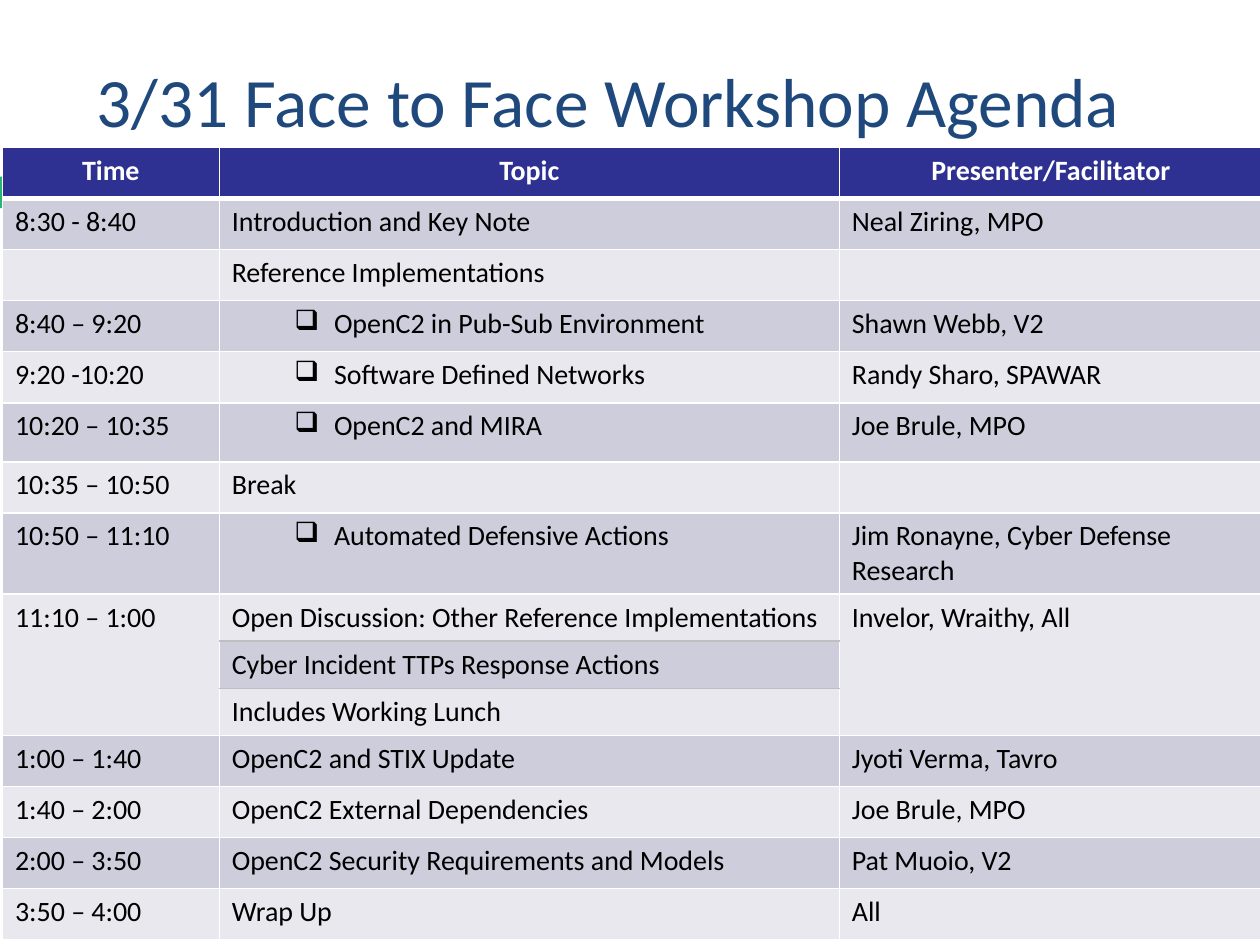
"""Build the workshop agenda slide."""
from lxml import etree
from pptx import Presentation
from pptx.dml.color import RGBColor
from pptx.enum.shapes import MSO_SHAPE
from pptx.enum.text import MSO_ANCHOR, PP_ALIGN
from pptx.oxml.ns import qn
from pptx.util import Cm, Pt

RECTANGLE = MSO_SHAPE.RECTANGLE
MIDDLE = MSO_ANCHOR.MIDDLE
LEFT, CENTER = PP_ALIGN.LEFT, PP_ALIGN.CENTER
TITLE_ONLY = 5

FONT = "Calibri"
WHITE, BLACK, NAVY, GREEN, TITLE_BLUE = "FFFFFF", "000000", "2E3092", "2AB573", "1F497D"
BANDS = ("E8E8EE", "CDCDDC")
INNER_RULE = "BFBFBF"
BULLET = "❑"

TITLE = "3/31 Face to Face Workshop Agenda"
HEADINGS = ("Time", "Topic", "Presenter/Facilitator")
AGENDA = [
    ("8:30 - 8:40", "Introduction and Key Note", "Neal Ziring, MPO"),
    ("", "Reference Implementations", ""),
    ("8:40 – 9:20", "❑OpenC2 in Pub-Sub Environment", "Shawn Webb, V2"),
    ("9:20 -10:20", "❑Software Defined Networks", "Randy Sharo, SPAWAR"),
    ("10:20 – 10:35", "❑OpenC2 and MIRA", "Joe Brule, MPO"),
    ("10:35 – 10:50", "Break", ""),
    ("10:50 – 11:10", "❑Automated Defensive Actions", "Jim Ronayne, Cyber Defense Research"),
    ("11:10 – 1:00", "Open Discussion: Other Reference Implementations", "Invelor, Wraithy, All"),
    ("", "Cyber Incident TTPs Response Actions", ""),
    ("", "Includes Working Lunch", ""),
    ("1:00 – 1:40", "OpenC2 and STIX Update", "Jyoti Verma, Tavro"),
    ("1:40 – 2:00", "OpenC2 External Dependencies", "Joe Brule, MPO"),
    ("2:00 – 3:50", "OpenC2 Security Requirements and Models", "Pat Muoio, V2"),
    ("3:50 – 4:00", "Wrap Up", "All"),
]
COLUMN_WIDTHS = (4.37, 12.5, 8.53)
ROW_HEIGHT = 1.03
SPECIAL_HEIGHTS = {5: 1.19, 7: 1.63, 8: 0.95, 9: 0.95, 10: 0.95}
DISCUSSION_FIRST, DISCUSSION_LAST = 8, 10


def rgb(code):
    return RGBColor.from_string(code)


def add_run(paragraph, text, size, color, bold=False):
    run = paragraph.add_run()
    run.text = text
    run.font.name = FONT
    run.font.size = Pt(size)
    run.font.bold = bold
    run.font.color.rgb = rgb(color)


def set_border(cell, side, color, points):
    line = etree.SubElement(cell._tc.get_or_add_tcPr(), qn(f"a:ln{side}"), w=str(Pt(points)))
    fill = etree.SubElement(line, qn("a:solidFill"))
    etree.SubElement(fill, qn("a:srgbClr"), val=color)


def set_bullet(paragraph):
    properties = paragraph._p.get_or_add_pPr()
    properties.set("lvl", "1")
    properties.set("marL", str(Cm(2.06)))
    properties.set("indent", str(Cm(-0.8)))
    etree.SubElement(properties, qn("a:buChar"), char=BULLET)


def format_cell(cell, row, column, text):
    is_header = row == 0
    in_discussion = column == 1 and DISCUSSION_FIRST <= row <= DISCUSSION_LAST
    top = INNER_RULE if in_discussion and row > DISCUSSION_FIRST else WHITE
    bottom = INNER_RULE if in_discussion and row < DISCUSSION_LAST else WHITE
    set_border(cell, "L", WHITE, 1)
    set_border(cell, "R", WHITE, 1)
    set_border(cell, "T", top, 3 if row == 1 else 1)
    set_border(cell, "B", bottom, 3 if is_header else 1)
    cell.fill.solid()
    cell.fill.fore_color.rgb = rgb(NAVY if is_header else BANDS[row % 2])
    if text:
        paragraph = cell.text_frame.paragraphs[0]
        paragraph.alignment = CENTER if is_header else LEFT
        if text.startswith(BULLET):
            set_bullet(paragraph)
        add_run(paragraph, text.removeprefix(BULLET), 16, WHITE if is_header else BLACK, is_header)


def add_title(slide):
    title = slide.shapes.title
    title.left, title.top, title.width, title.height = Cm(1.7), Cm(0.64), Cm(22.66), Cm(2.74)
    title.text_frame.vertical_anchor = MIDDLE
    paragraph = title.text_frame.paragraphs[0]
    paragraph.alignment = LEFT
    add_run(paragraph, TITLE, 39.6, TITLE_BLUE)


def add_accent(slide):
    accent = slide.shapes.add_shape(RECTANGLE, Cm(0), Cm(3.56), Cm(1.47), Cm(0.64))
    accent.shadow.inherit = False
    accent.fill.solid()
    accent.fill.fore_color.rgb = rgb(GREEN)
    accent.line.fill.background()


def add_agenda(slide):
    rows = [HEADINGS, *AGENDA]
    heights = [SPECIAL_HEIGHTS.get(index, ROW_HEIGHT) for index in range(len(rows))]
    agenda = slide.shapes.add_table(
        len(rows), len(HEADINGS), Cm(0.05), Cm(2.97), Cm(sum(COLUMN_WIDTHS)), Cm(sum(heights))
    ).table
    for column, width in zip(agenda.columns, COLUMN_WIDTHS):
        column.width = Cm(width)
    for row, height in zip(agenda.rows, heights):
        row.height = Cm(height)
    for row, texts in enumerate(rows):
        for column, text in enumerate(texts):
            format_cell(agenda.cell(row, column), row, column, text)
    for column in (0, 2):
        agenda.cell(DISCUSSION_FIRST, column).merge(agenda.cell(DISCUSSION_LAST, column))


def main():
    deck = Presentation()
    deck.slide_width, deck.slide_height = Cm(25.4), Cm(19.05)
    slide = deck.slides.add_slide(deck.slide_layouts[TITLE_ONLY])
    add_title(slide)
    add_accent(slide)
    add_agenda(slide)
    deck.save("out.pptx")


if __name__ == "__main__":
    main()
